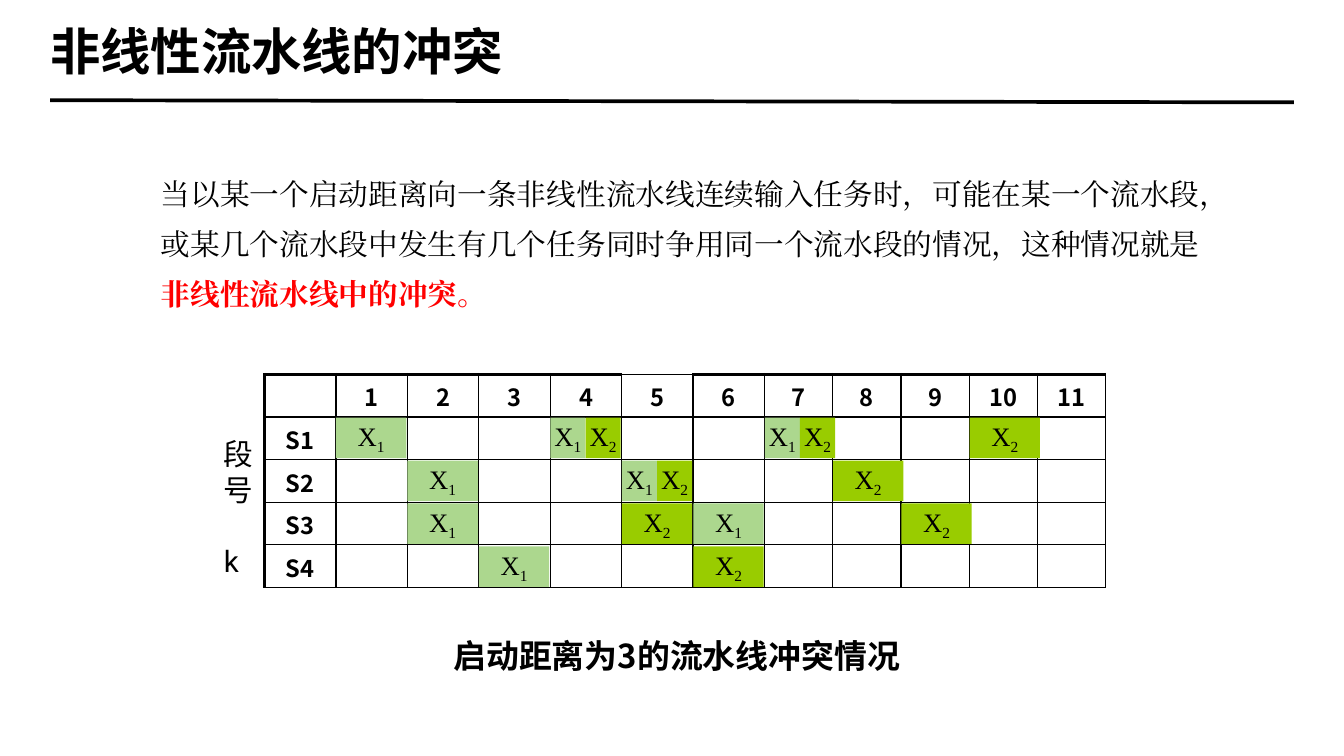
from lxml.etree import SubElement
from pptx import Presentation
from pptx.dml.color import RGBColor
from pptx.enum.shapes import MSO_CONNECTOR, MSO_SHAPE
from pptx.enum.text import MSO_ANCHOR, PP_ALIGN
from pptx.oxml import parse_xml
from pptx.oxml.ns import nsdecls, qn
from pptx.util import Pt

BLACK = RGBColor(0, 0, 0)
RED = RGBColor(0xFF, 0, 0)
LIGHT_GREEN = RGBColor(0xAC, 0xD7, 0x8E)
LIME = RGBColor(0x99, 0xCC, 0)

SANS = "Noto Sans CJK SC"
SERIF = "Times New Roman"

TABLE_LEFT, TABLE_TOP = 178.56, 252.72
ROW_HEIGHT = 28.8
COLUMN_WIDTHS = [48.24] * 7 + [46.08] * 5
STAGES = ["S1", "S2", "S3", "S4"]

BLOCK_TOP, BLOCK_STEP = 282, 29
BLOCK_WIDTH, BLOCK_HEIGHT = 47.52, 27.36
START_DISTANCE = 3
FIRST_TASK = [(1, 1), (2, 2), (3, 2), (4, 3), (1, 4), (2, 5), (3, 6), (1, 7)]


def style(para, name, size, bold=False):
    """Set one black font for the Latin and East Asian text of a paragraph."""
    para.font.name = name
    para.font.size = Pt(size)
    para.font.bold = bold
    para.font.color.rgb = BLACK
    defaults = para._p.pPr.find(qn("a:defRPr"))
    SubElement(defaults, qn("a:ea"), typeface=name)


def add_text(page, left, top, width, height, text, name, size, bold=False, wrap=True):
    """Add a text box with one paragraph per line and return its text frame."""
    box = page.shapes.add_textbox(Pt(left), Pt(top), Pt(width), Pt(height))
    frame = box.text_frame
    frame.word_wrap = wrap
    frame.text = text
    for para in frame.paragraphs:
        style(para, name, size, bold)
    return frame


def add_title(page):
    """Add the heading and the rule below it."""
    frame = add_text(page, 33.84, 11.52, 838.8, 45.36, "非线性流水线的冲突", "Arial", 34, True)
    frame.vertical_anchor = MSO_ANCHOR.MIDDLE
    frame.margin_left = frame.margin_right = frame.margin_top = frame.margin_bottom = 0
    rule = page.shapes.add_connector(
        MSO_CONNECTOR.STRAIGHT, Pt(33.84), Pt(67.68), Pt(873.36), Pt(69.12))
    rule.line.color.rgb = BLACK
    rule.line.width = Pt(2.5)
    SubElement(rule._element.spPr, qn("a:effectLst"))


def add_definition(page):
    """Add the paragraph that defines a conflict."""
    text = ("当以某一个启动距离向一条非线性流水线连续输入任务时，可能在某一个流水段，"
            "或某几个流水段中发生有几个任务同时争用同一个流水段的情况，这种情况就是")
    frame = add_text(page, 101.52, 105.84, 721.44, 106.56, text, SERIF, 20)
    para = frame.paragraphs[0]
    para.line_spacing = 1.4
    for ending, bold in [("非线性流水线中的冲突", True), ("。", False)]:
        span = para.add_run()
        span.text = ending
        span.font.bold = bold
        span.font.color.rgb = RED


def set_borders(cell, left, right, top, bottom):
    """Draw black cell borders of the given widths."""
    properties = cell._tc.get_or_add_tcPr()
    sides = zip(("lnL", "lnR", "lnT", "lnB"), (left, right, top, bottom))
    for index, (side, width) in enumerate(sides):
        properties.insert(index, parse_xml(
            f'<a:{side} {nsdecls("a")} w="{Pt(width)}"><a:solidFill>'
            f'<a:srgbClr val="{BLACK}"/></a:solidFill></a:{side}>'))


def add_reservation_table(page):
    """Add the grid of stages against clock cycles."""
    frame = page.shapes.add_table(
        len(STAGES) + 1, len(COLUMN_WIDTHS), Pt(TABLE_LEFT), Pt(TABLE_TOP),
        Pt(sum(COLUMN_WIDTHS)), Pt(ROW_HEIGHT * (len(STAGES) + 1)))
    table = frame.table
    table.first_row = table.horz_banding = False
    for column, width in zip(table.columns, COLUMN_WIDTHS):
        column.width = Pt(width)
    for row_index, row in enumerate(table.rows):
        row.height = Pt(ROW_HEIGHT)
        for cycle, cell in enumerate(row.cells):
            cell.fill.background()
            left = 2.25 if cycle == 0 else 1
            top = 2.25 if row_index == 0 and cycle != 5 else 1
            set_borders(cell, left, 1, top, 1)
            if row_index == 0 and cycle:
                cell.text = str(cycle)
            elif row_index and cycle == 0:
                cell.text = STAGES[row_index - 1]
            para = cell.text_frame.paragraphs[0]
            para.alignment = PP_ALIGN.CENTER
            style(para, SANS, 16, True)


def add_block(page, left, top, width, task, color):
    """Add a coloured block labelled with a task number."""
    block = page.shapes.add_shape(
        MSO_SHAPE.RECTANGLE, Pt(left), Pt(top), Pt(width), Pt(BLOCK_HEIGHT))
    block.shadow.inherit = False
    block.fill.solid()
    block.fill.fore_color.rgb = color
    block.line.fill.background()
    frame = block.text_frame
    frame.word_wrap = False
    frame.vertical_anchor = MSO_ANCHOR.MIDDLE
    para = frame.paragraphs[0]
    para.alignment = PP_ALIGN.CENTER
    style(para, SERIF, 18)
    para.add_run().text = "X"
    subscript = para.add_run()
    subscript.text = str(task)
    subscript._r.get_or_add_rPr().set("baseline", "-25000")


def add_tasks(page):
    """Place both tasks, halving the blocks where they collide."""
    second_task = [(stage, cycle + START_DISTANCE) for stage, cycle in FIRST_TASK]
    conflicts = set(FIRST_TASK) & set(second_task)
    tasks = [(1, FIRST_TASK, LIGHT_GREEN), (2, second_task, LIME)]
    for task, slots, color in tasks:
        for stage, cycle in slots:
            left = TABLE_LEFT + sum(COLUMN_WIDTHS[:cycle])
            top = BLOCK_TOP + BLOCK_STEP * (stage - 1)
            width = BLOCK_WIDTH
            if (stage, cycle) in conflicts:
                width /= 2
                left += width * (task - 1)
            add_block(page, left, top, width, task, color)


def main():
    """Build the slide and save it."""
    deck = Presentation()
    deck.slide_width, deck.slide_height = Pt(907.2), Pt(510.48)
    page = deck.slides.add_slide(deck.slide_layouts[6])
    add_title(page)
    add_definition(page)
    caption = add_text(page, 286.56, 425.52, 340.56, 36,
                       "启动距离为3的流水线冲突情况", SANS, 22.2, True, False)
    caption.paragraphs[0].alignment = PP_ALIGN.CENTER
    add_reservation_table(page)
    axis = add_text(page, 144, 290.88, 30.96, 79.2, "段号\nk", "Roboto", 20)
    axis.paragraphs[1].space_before = Pt(24)
    add_tasks(page)
    deck.save("out.pptx")


if __name__ == "__main__":
    main()
